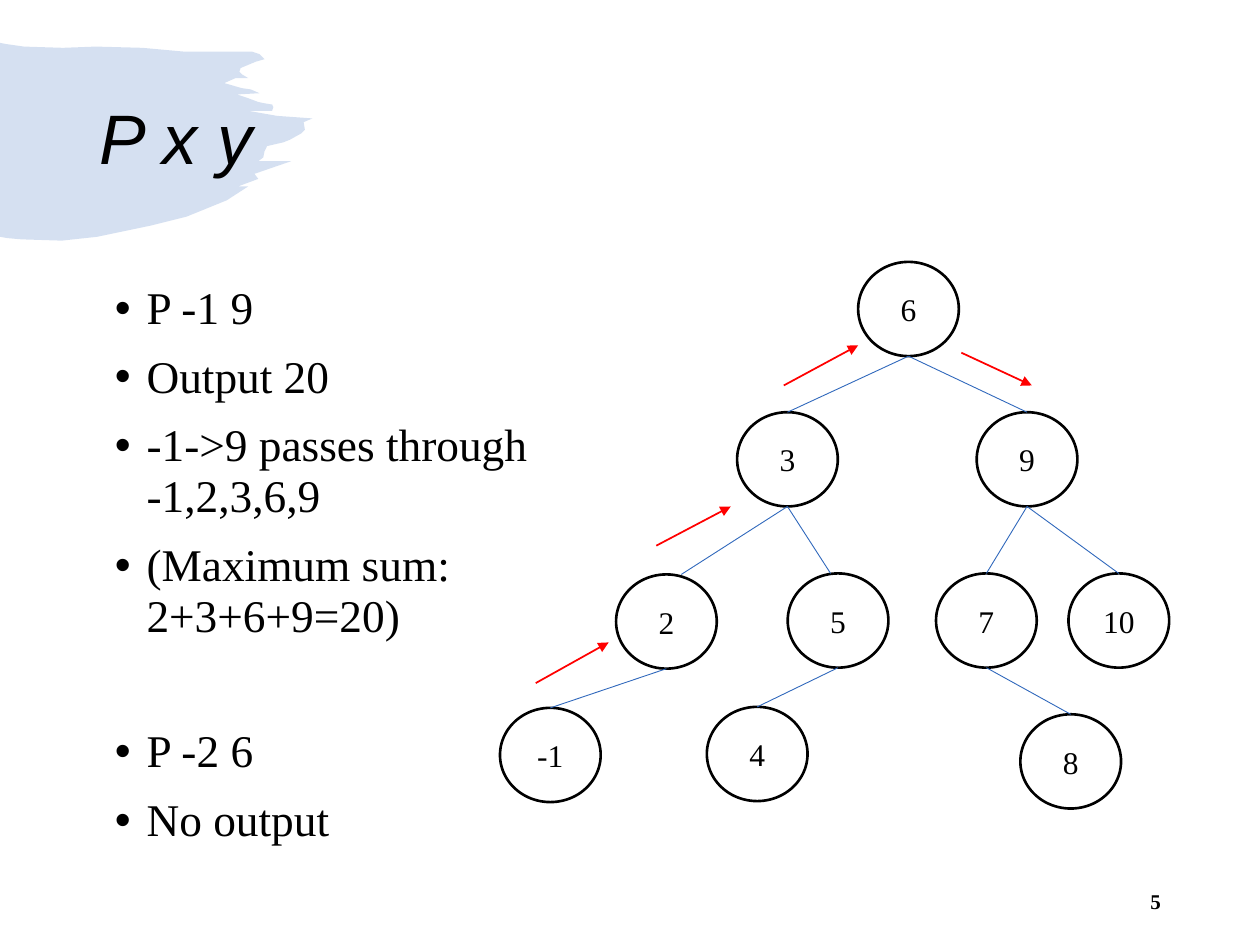
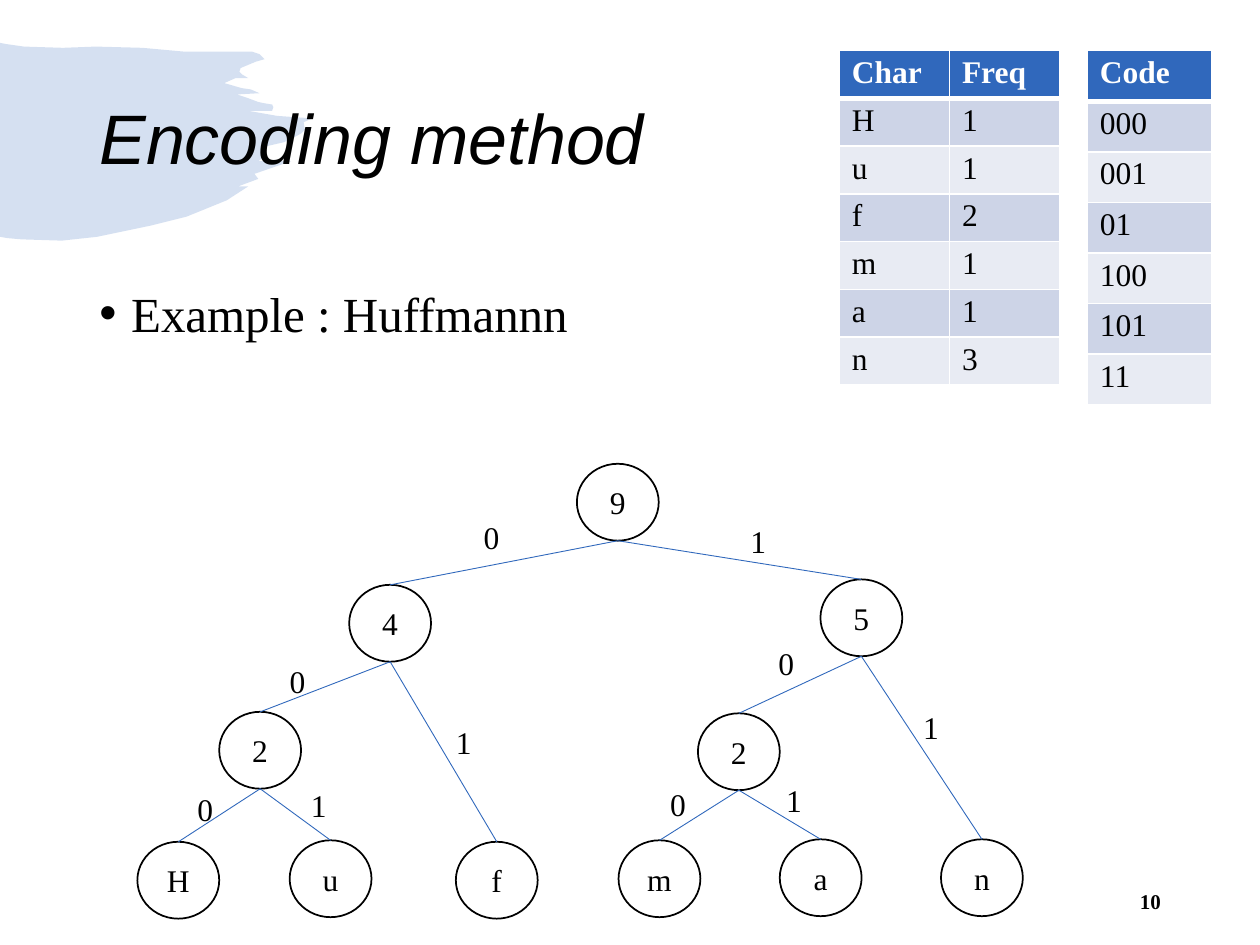
import lxml.etree
import pptx
import pptx.dml.color
import pptx.enum.shapes
import pptx.enum.text
import pptx.oxml.ns
import pptx.util

Cm = pptx.util.Cm
Pt = pptx.util.Pt
qn = pptx.oxml.ns.qn
ALIGN = pptx.enum.text.PP_ALIGN
ANCHOR = pptx.enum.text.MSO_ANCHOR

COLORS = {
    "blue": "3068BC",
    "black": "000000",
    "white": "FFFFFF",
    "red": "FF0000",
    "dark_row": "CDD4E7",
    "light_row": "E8EBF3",
}
TITLE_FONT = "Arial"
TEXT_FONT = "Times New Roman"

BRUSH_UNIT = Cm(2.54) / 100
BRUSH_OUTLINE = [
    (0, 34), (5, 35), (19, 37), (50, 38), (76, 37), (113, 38), (146, 41),
    (186, 41), (200, 41), (206, 43), (210, 47), (203, 49), (191, 54),
    (190, 57), (192, 59), (197, 62), (187, 62), (178, 66), (185, 68),
    (192, 70), (199, 71), (206, 74), (188, 75), (197, 78), (205, 81),
    (210, 82), (216, 83), (217, 85), (216, 88), (213, 88), (197, 88),
    (220, 92), (248, 94), (241, 97), (242, 103), (239, 106), (230, 111),
    (225, 113), (212, 116), (210, 120), (209, 125), (205, 128), (231, 128),
    (202, 138), (205, 142), (189, 148), (197, 148), (180, 159), (148, 172),
    (120, 179), (77, 188), (49, 191), (17, 190), (6, 189), (0, 188),
]

PATH_NODES = {
    "6": ("6", 17.3, 5.28),
    "9": ("9", 19.69, 8.31),
    "3": ("3", 14.86, 8.31),
    "2": ("2", 12.42, 11.58),
    "5": ("5", 15.88, 11.56),
    "7": ("7", 18.87, 11.56),
    "10": ("10", 21.54, 11.56),
    "-1": ("-1", 10.08, 14.27),
    "4": ("4", 14.25, 14.25),
    "8": ("8", 20.57, 14.4),
}
PATH_EDGES = [("6", "3"), ("6", "9"), ("9", "7"), ("9", "10"),
              ("2", "-1"), ("5", "4"), ("7", "8")]
PATH_SHIFTED_EDGES = [("3", "2", 0.3), ("3", "5", -0.15)]
PATH_ARROWS = [
    (10.8, 13.77, 12.27, 12.95),
    (13.23, 11, 14.73, 10.21),
    (15.8, 7.77, 17.3, 6.96),
    (19.38, 7.11, 20.8, 7.77),
]

CODE_NODES = {
    "H": ("H", 2.77, 16.97),
    "u": ("u", 5.84, 16.94),
    "f": ("f", 9.19, 16.97),
    "m": ("m", 12.47, 16.94),
    "a": ("a", 15.72, 16.92),
    "n": ("n", 18.97, 16.92),
    "Hu": ("2", 4.42, 14.35),
    "ma": ("2", 14.07, 14.38),
    "Huf": ("4", 7.04, 11.79),
    "man": ("5", 16.54, 11.68),
    "root": ("9", 11.63, 9.35),
}
CODE_EDGES = [
    ("root", "Huf", "0", 9.5, 10.31),
    ("root", "man", "1", 14.88, 10.39),
    ("Huf", "Hu", "0", 5.59, 13.23),
    ("Huf", "f", "1", 8.94, 14.45),
    ("man", "ma", "0", 15.44, 12.85),
    ("man", "n", "1", 18.36, 14.15),
    ("Hu", "H", "0", 3.73, 15.8),
    ("Hu", "u", "1", 6.02, 15.72),
    ("ma", "m", "0", 13.26, 15.7),
    ("ma", "a", "1", 15.6, 15.62),
]
FREQUENCIES = [("Char", "Freq"), ("H", "1"), ("u", "1"), ("f", "2"),
               ("m", "1"), ("a", "1"), ("n", "3")]
CODES = [("Code",), ("000",), ("001",), ("01",), ("100",), ("101",), ("11",)]


def rgb(name):
    return pptx.dml.color.RGBColor.from_string(COLORS[name])


def format_runs(paragraph, size, font=TEXT_FONT, color="black", bold=False, italic=False):
    for run in paragraph.runs:
        run.font.name = font
        run.font.size = Pt(size)
        run.font.color.rgb = rgb(color)
        run.font.bold = bold
        run.font.italic = italic


def place(shape, left, top, width, height):
    shape.left, shape.top = Cm(left), Cm(top)
    shape.width, shape.height = Cm(width), Cm(height)


def add_brush_band(slide):
    builder = slide.shapes.build_freeform(*BRUSH_OUTLINE[0], scale=BRUSH_UNIT)
    builder.add_line_segments(BRUSH_OUTLINE[1:], close=True)
    band = builder.convert_to_shape()
    band.shadow.inherit = False
    band.line.fill.background()
    band.fill.solid()
    band.fill.fore_color.rgb = rgb("blue")
    color = band.element.spPr.find(qn("a:solidFill"))[0]
    lxml.etree.SubElement(color, qn("a:alpha"), val="20000")
    slide.slide_layout.shapes.element.insert(2, band.element)


def add_label(slide, text, left, top, width, height, size=18, bold=False):
    label = slide.shapes.add_textbox(Cm(left), Cm(top), Cm(width), Cm(height))
    frame = label.text_frame
    frame.word_wrap = True
    frame.text = text
    format_runs(frame.paragraphs[0], size, bold=bold)
    return frame


def add_page_number(slide, number):
    frame = add_label(slide, number, 17.93, 17.65, 5.72, 1.02, size=12, bold=True)
    frame.vertical_anchor = ANCHOR.MIDDLE
    frame.paragraphs[0].alignment = ALIGN.RIGHT


def set_title(slide, text):
    title = slide.shapes.title
    place(title, 1.75, 1.02, 21.89, 3.68)
    frame = title.text_frame
    frame.text = text
    frame.auto_size = pptx.enum.text.MSO_AUTO_SIZE.NONE
    frame.vertical_anchor = ANCHOR.MIDDLE
    paragraph = frame.paragraphs[0]
    paragraph.alignment = ALIGN.LEFT
    paragraph.line_spacing = 0.9
    format_runs(paragraph, 40, font=TITLE_FONT, italic=True)


def set_bullets(slide, lines, box, size, line_spacing):
    body = slide.placeholders[1]
    place(body, *box)
    frame = body.text_frame
    frame.text = "\n".join(lines)
    frame.auto_size = pptx.enum.text.MSO_AUTO_SIZE.NONE
    for paragraph in frame.paragraphs:
        paragraph.line_spacing = line_spacing
        paragraph.space_before = Pt(10)
        format_runs(paragraph, size)
        properties = paragraph._p.get_or_add_pPr()
        properties.set("marL", str(Cm(0.64)))
        properties.set("indent", str(-Cm(0.64)))
        lxml.etree.SubElement(properties, qn("a:buFont"), typeface="Arial")
        lxml.etree.SubElement(properties, qn("a:buChar"), char="•")
    return frame


def add_slide(presentation, title, number):
    slide = presentation.slides.add_slide(presentation.slide_layouts[1])
    set_title(slide, title)
    add_page_number(slide, number)
    return slide


def add_node(slide, text, left, top, width, height, line_width):
    node = slide.shapes.add_shape(pptx.enum.shapes.MSO_SHAPE.OVAL,
                                  Cm(left), Cm(top), Cm(width), Cm(height))
    node.shadow.inherit = False
    node.fill.solid()
    node.fill.fore_color.rgb = rgb("white")
    node.line.color.rgb = rgb("black")
    node.line.width = Pt(line_width)
    frame = node.text_frame
    frame.word_wrap = False
    frame.text = text
    frame.vertical_anchor = ANCHOR.MIDDLE
    frame.paragraphs[0].alignment = ALIGN.CENTER
    format_runs(frame.paragraphs[0], 18)
    return node


def add_nodes(slide, nodes, width, height, line_width):
    return {key: add_node(slide, text, left, top, width, height, line_width)
            for key, (text, left, top) in nodes.items()}


def add_line(slide, x1, y1, x2, y2, color="blue", width=0.5):
    line = slide.shapes.add_connector(pptx.enum.shapes.MSO_CONNECTOR.STRAIGHT,
                                      x1, y1, x2, y2)
    line.line.color.rgb = rgb(color)
    line.line.width = Pt(width)
    lxml.etree.SubElement(line.element.spPr, qn("a:effectLst"))
    return line


def add_edge(slide, parent, child, shift=0):
    line = add_line(slide, parent.left + parent.width // 2, parent.top + parent.height,
                    child.left + child.width // 2 + Cm(shift), child.top)
    if not shift:
        line.end_connect(child, 0)


def add_arrow(slide, *ends):
    arrow = add_line(slide, *map(Cm, ends), color="red", width=1)
    outline = arrow.element.spPr.find(qn("a:ln"))
    lxml.etree.SubElement(outline, qn("a:tailEnd"), type="triangle")


def set_borders(cell, bottom_width):
    properties = cell._tc.get_or_add_tcPr()
    for side, width in (("L", 1), ("R", 1), ("T", 1), ("B", bottom_width)):
        border = lxml.etree.SubElement(properties, qn(f"a:ln{side}"), w=str(Pt(width)))
        fill = lxml.etree.SubElement(border, qn("a:solidFill"))
        lxml.etree.SubElement(fill, qn("a:srgbClr"), val=COLORS["white"])


def add_data_table(slide, rows, left, column_width, row_height):
    columns = len(rows[0])
    table = slide.shapes.add_table(len(rows), columns, Cm(left), Cm(1.02),
                                   Cm(column_width * columns),
                                   Cm(row_height * len(rows))).table
    for row_index, values in enumerate(rows):
        header = row_index == 0
        fill = "blue" if header else "dark_row" if row_index % 2 else "light_row"
        for column_index, value in enumerate(values):
            cell = table.cell(row_index, column_index)
            cell.margin_top = cell.margin_bottom = Cm(0.1)
            set_borders(cell, 3 if header else 1)
            cell.fill.solid()
            cell.fill.fore_color.rgb = rgb(fill)
            cell.text = value
            format_runs(cell.text_frame.paragraphs[0], 18,
                        color="white" if header else "black", bold=header)


def build_path_slide(presentation):
    slide = add_slide(presentation, "P x y", "5")
    add_brush_band(slide)
    frame = set_bullets(slide, ["P -1 9", "Output 20", "-1->9 passes through -1,2,3,6,9",
                                "(Maximum sum: 2+3+6+9=20)", "P -2 6", "No output"],
                        (2.06, 5.59, 10.06, 11.71), 25.9, 0.94)
    frame.paragraphs[4].space_before = Pt(48)
    nodes = add_nodes(slide, PATH_NODES, 2.03, 1.9, 1.5)
    for parent, child, *shift in PATH_EDGES + PATH_SHIFTED_EDGES:
        add_edge(slide, nodes[parent], nodes[child], *shift)
    for ends in PATH_ARROWS:
        add_arrow(slide, *ends)


def build_encoding_slide(presentation):
    slide = add_slide(presentation, "Encoding method", "10")
    set_bullets(slide, ["Example : Huffmannn"], (1.75, 5.59, 21.89, 1.85), 28, 1.0)
    add_data_table(slide, FREQUENCIES, 16.92, 2.22, 0.95)
    add_data_table(slide, CODES, 21.92, 2.51, 1.02)
    nodes = add_nodes(slide, CODE_NODES, 1.65, 1.55, 1)
    for parent, child, bit, left, top in CODE_EDGES:
        add_edge(slide, nodes[parent], nodes[child])
        add_label(slide, bit, left, top, 0.88, 1.02)


def main():
    presentation = pptx.Presentation()
    presentation.slide_width, presentation.slide_height = Cm(25.4), Cm(19.05)
    build_path_slide(presentation)
    build_encoding_slide(presentation)
    presentation.save("out.pptx")


if __name__ == "__main__":
    main()
